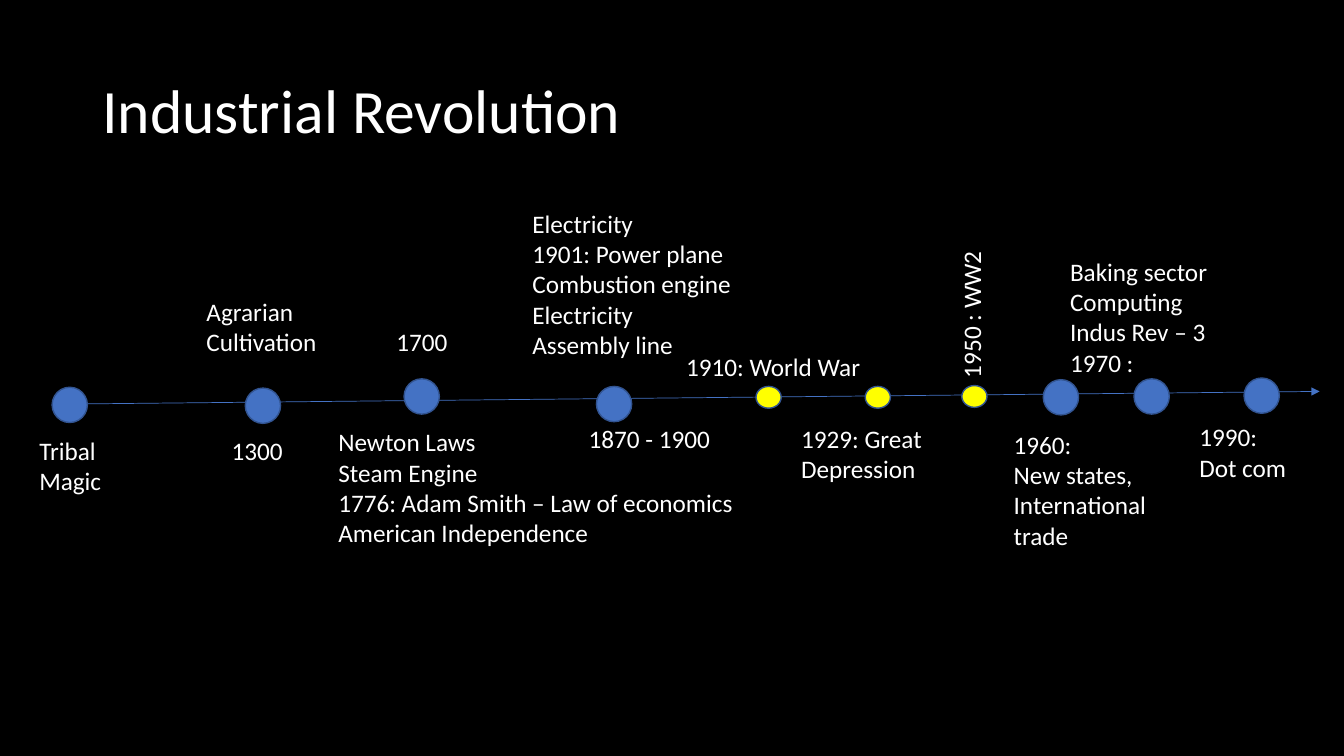
from dataclasses import dataclass

from lxml import etree
from pptx import Presentation
from pptx.dml.color import RGBColor
from pptx.enum import shapes, text
from pptx.oxml.ns import qn
from pptx.util import Emu, Inches, Pt

COLUMNS, ROWS = 16, 9


@dataclass(frozen=True)
class Theme:
    font: str = "Calibri"
    title_size: int = 44
    label_size: int = 18
    background: str = "000000"
    ink: str = "FFFFFF"
    era: str = "4472C4"
    crisis: str = "FFFF00"
    outline: str = "325491"


@dataclass(frozen=True)
class MarkerStyle:
    color: str
    width: float
    height: float


@dataclass(frozen=True)
class Marker:
    style: MarkerStyle
    x: float  # centre, in columns
    y: float  # centre, in rows


@dataclass(frozen=True)
class Label:
    left: float
    top: float
    width: float
    lines: tuple[str, ...]
    rotation: int = 0
    wrapped_lines: int = 0  # extra lines made by wrapping

    @property
    def height(self) -> float:
        return 0.12 + 0.36 * (len(self.lines) + self.wrapped_lines)


THEME = Theme()
ERA = MarkerStyle(THEME.era, 0.42, 0.42)
CRISIS = MarkerStyle(THEME.crisis, 0.3, 0.26)

MARKERS = [
    Marker(ERA, 0.83, 4.82),
    Marker(ERA, 3.13, 4.83),
    Marker(ERA, 5.02, 4.72),
    Marker(ERA, 7.31, 4.81),
    Marker(CRISIS, 9.15, 4.73),
    Marker(CRISIS, 10.45, 4.73),
    Marker(CRISIS, 11.6, 4.72),
    Marker(ERA, 12.63, 4.73),
    Marker(ERA, 13.71, 4.72),
    Marker(ERA, 15.02, 4.71),
]

LABELS = [
    Label(0.35, 5.12, 0.98, ("Tribal", "Magic")),
    Label(2.34, 3.47, 1.57, ("Agrarian", "Cultivation")),
    Label(2.64, 5.12, 0.85, ("1300",)),
    Label(4.6, 3.83, 0.85, ("1700",)),
    Label(3.91, 5.02, 5.06, ("Newton Laws", "Steam Engine",
                             "1776: Adam Smith – Law of economics",
                             "American Independence")),
    Label(6.89, 4.98, 1.7, ("1870 - 1900",)),
    Label(6.22, 2.42, 2.64, ("Electricity", "1901: Power plane",
                             "Combustion engine", "Electricity",
                             "Assembly line")),
    Label(8.05, 4.12, 2.34, ("1910: World War",)),
    Label(9.42, 4.98, 1.76, ("1929: Great", "Depression")),
    Label(10.68, 3.5, 1.76, ("1950 : WW2",), rotation=270),
    Label(11.95, 5.05, 2.1, ("1960:", "New states,", "International trade"),
          wrapped_lines=1),
    Label(12.62, 2.99, 1.9, ("Baking sector", "Computing",
                             "Indus Rev – 3", "1970 :")),
    Label(14.16, 4.96, 1.28, ("1990:", "Dot com")),
]

deck = Presentation()
deck.slide_width, deck.slide_height = Inches(13.33), Inches(7.5)
slide = deck.slides.add_slide(deck.slide_layouts[5])


def grid(*lengths: float) -> list[Emu]:
    """Turn alternating columns and rows into slide lengths."""
    cells = (deck.slide_width / COLUMNS, deck.slide_height / ROWS)
    return [Emu(round(n * cells[i % 2])) for i, n in enumerate(lengths)]


def rgb(color: str) -> RGBColor:
    return RGBColor.from_string(color)


def style_paragraph(paragraph, size: int) -> None:
    paragraph.alignment = text.PP_ALIGN.LEFT
    paragraph.font.name = THEME.font
    paragraph.font.size = Pt(size)
    paragraph.font.color.rgb = rgb(THEME.ink)


def draw_title(wording: str) -> None:
    title = slide.shapes.title
    title.left, title.top, title.width, title.height = grid(1.1, 0.48, 13.8, 1.74)
    title.text_frame.text = wording
    title.text_frame.vertical_anchor = text.MSO_ANCHOR.MIDDLE
    heading = title.text_frame.paragraphs[0]
    heading.line_spacing = 0.9
    style_paragraph(heading, THEME.title_size)


def draw_time_axis() -> None:
    axis = slide.shapes.add_connector(
        shapes.MSO_CONNECTOR.STRAIGHT, *grid(0.84, 4.81, 15.71, 4.66))
    axis.line.color.rgb = rgb(THEME.era)
    axis.line.width = Pt(0.5)
    etree.SubElement(axis.line._get_or_add_ln(), qn("a:tailEnd"), type="triangle")
    etree.SubElement(axis._element.spPr, qn("a:effectLst"))


def draw_marker(marker: Marker) -> None:
    style = marker.style
    dot = slide.shapes.add_shape(
        shapes.MSO_SHAPE.OVAL,
        *grid(marker.x - style.width / 2, marker.y - style.height / 2,
              style.width, style.height))
    dot.shadow.inherit = False
    dot.fill.solid()
    dot.fill.fore_color.rgb = rgb(style.color)
    dot.line.color.rgb = rgb(THEME.outline)
    dot.line.width = Pt(1)


def draw_label(label: Label) -> None:
    box = slide.shapes.add_textbox(
        *grid(label.left, label.top, label.width, label.height))
    box.rotation = label.rotation
    frame = box.text_frame
    frame.word_wrap = label.wrapped_lines > 0
    frame.auto_size = text.MSO_AUTO_SIZE.SHAPE_TO_FIT_TEXT
    frame.text = "\n".join(label.lines)
    for paragraph in frame.paragraphs:
        style_paragraph(paragraph, THEME.label_size)


# Background and title
slide.background.fill.solid()
slide.background.fill.fore_color.rgb = rgb(THEME.background)
draw_title("Industrial Revolution")

# Timeline: axis, markers, then labels
draw_time_axis()
for marker in MARKERS:
    draw_marker(marker)
for label in LABELS:
    draw_label(label)

deck.save("out.pptx")
